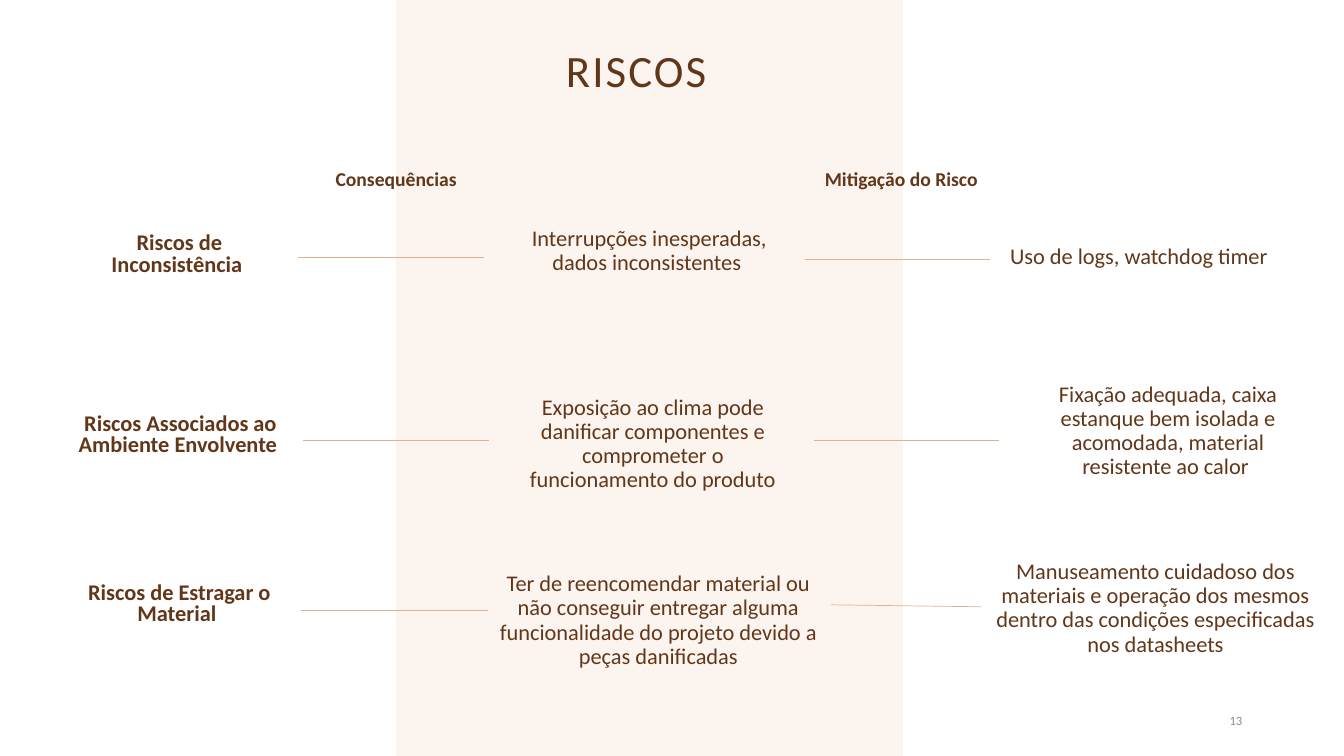
from lxml import etree
from pptx import Presentation
from pptx.dml.color import RGBColor
from pptx.enum.shapes import MSO_CONNECTOR as CONN, MSO_SHAPE as SHAPE
from pptx.enum.text import MSO_ANCHOR as ANCHOR, MSO_AUTO_SIZE as FIT, PP_ALIGN as ALIGN
from pptx.oxml.ns import qn
from pptx.util import Inches, Pt

COLORS = {"cream": "FBF4EF", "white": "FFFFFF", "brown": "623719",
          "tan": "E2B18D", "gray": "8C8C8C"}


def color(name):
    return RGBColor.from_string(COLORS[name])


def write(box, text, size, bold=False, align=ALIGN.CENTER, anchor=ANCHOR.TOP,
          lead=0.9, tint="brown"):
    frame = box.text_frame
    frame.word_wrap = True
    frame.auto_size = FIT.NONE
    frame.vertical_anchor = anchor
    para = frame.paragraphs[0]
    para.alignment = align
    para.line_spacing = lead
    run = para.add_run()
    run.text = text
    run.font.name = "Calibri"
    run.font.size = Pt(size)
    run.font.bold = bold
    run.font.color.rgb = color(tint)
    return run


prs = Presentation()
prs.slide_width, prs.slide_height = Inches(13.33), Inches(7.5)
slide = prs.slides.add_slide(prs.slide_layouts[5])
shapes = slide.shapes
slide.background.fill.solid()
slide.background.fill.fore_color.rgb = color("cream")

# White side panels
for left, width in [(0, 3.92), (8.96, 4.37)]:
    panel = shapes.add_shape(SHAPE.RECTANGLE, Inches(left), 0, Inches(width), Inches(7.5))
    panel.shadow.inherit = False
    panel.fill.solid()
    panel.fill.fore_color.rgb = color("white")
    panel.line.color.rgb = color("white")
    panel.line.width = Pt(1)

# Title, in front of the panels
title = shapes.title
title.left, title.top = Inches(0.56), Inches(0)
title.width, title.height = Inches(11.5), Inches(1.45)
run = write(title, "RISCOS", 32, anchor=ANCHOR.MIDDLE)
run.font._element.set("spc", "150")
shapes._spTree.append(title._element)

# Column headings
for left, text in [(2.76, "Consequências"), (7.77, "Mitigação do Risco")]:
    box = shapes.add_textbox(Inches(left), Inches(1.51), Inches(2.34), Inches(0.56))
    write(box, text, 14, bold=True, anchor=ANCHOR.MIDDLE)

# Risk names
risks = [(0.61, 2.25, "Riscos de Inconsistência "),
         (0.62, 4.04, "Riscos Associados ao Ambiente Envolvente "),
         (0.61, 5.72, "Riscos de Estragar o Material ")]
for left, top, text in risks:
    box = shapes.add_textbox(Inches(left), Inches(top), Inches(2.34), Inches(0.56))
    write(box, text, 16, bold=True, anchor=ANCHOR.MIDDLE, lead=0.8)

# Consequences and mitigations, row by row
notes = [
    (5.07, 2.2, 2.74, 0.77, ALIGN.CENTER,
     "Interrupções inesperadas, dados inconsistentes "),
    (9.92, 2.38, 3.1, 0.76, ALIGN.LEFT,
     "Uso de logs, watchdog timer"),
    (5.07, 3.88, 2.81, 0.99, ALIGN.CENTER,
     "Exposição ao clima pode danificar componentes e comprometer o "
     "funcionamento do produto"),
    (10.17, 3.75, 2.83, 1.34, ALIGN.CENTER,
     "Fixação adequada, caixa estanque bem isolada e acomodada, material "
     "resistente ao calor "),
    (4.85, 5.63, 3.36, 1.11, ALIGN.CENTER,
     "Ter de reencomendar material ou não conseguir entregar alguma "
     "funcionalidade do projeto devido a peças danificadas"),
    (9.77, 5.51, 3.38, 1.2, ALIGN.CENTER,
     "Manuseamento cuidadoso dos materiais e operação dos mesmos dentro das "
     "condições especificadas nos datasheets"),
]
for left, top, width, height, align, text in notes:
    box = shapes.add_textbox(Inches(left), Inches(top), Inches(width), Inches(height))
    write(box, text, 16, align=align)

# Lines between the columns
links = [(2.96, 2.55, 4.8, 2.55), (7.98, 2.57, 9.82, 2.57),
         (3.01, 4.37, 4.85, 4.37), (8.07, 4.37, 9.91, 4.37),
         (2.99, 6.06, 4.84, 6.06), (8.24, 6, 9.73, 6.02)]
for ends in links:
    link = shapes.add_connector(CONN.STRAIGHT, *[Inches(n) for n in ends])
    link.line.color.rgb = color("tan")
    link.line.width = Pt(0.5)
    etree.SubElement(link._element.spPr, qn("a:effectLst"))

# Slide number
box = shapes.add_textbox(Inches(9.42), Inches(6.95), Inches(3), Inches(0.4))
write(box, "13", 9, align=ALIGN.RIGHT, anchor=ANCHOR.MIDDLE, lead=1.0, tint="gray")

prs.save("out.pptx")
